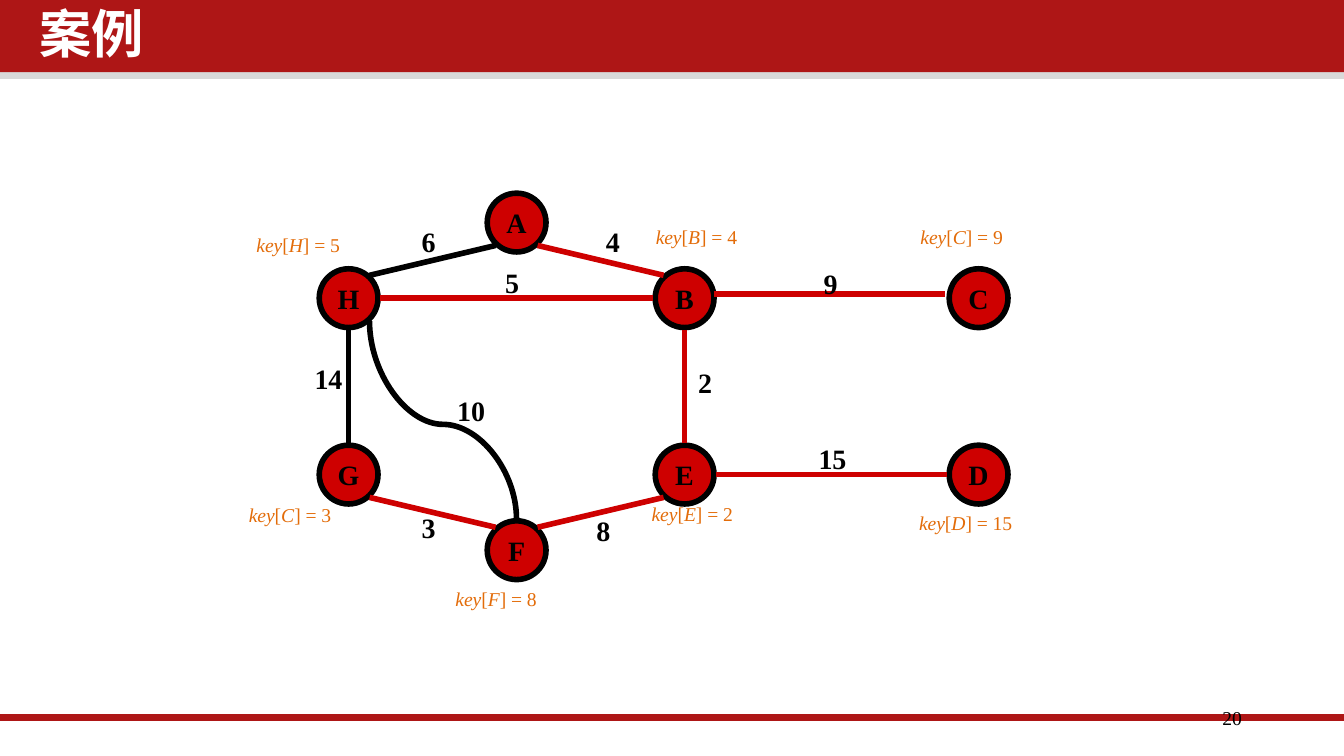
from math import copysign

from lxml.etree import SubElement
from pptx import Presentation
from pptx.dml.color import RGBColor
from pptx.enum.shapes import MSO_CONNECTOR, MSO_SHAPE
from pptx.enum.text import MSO_ANCHOR, MSO_AUTO_SIZE, PP_ALIGN
from pptx.oxml.ns import qn
from pptx.util import Pt

BANNER_RED = RGBColor(0xAE, 0x16, 0x16)
TREE_RED = RGBColor(0xCE, 0x00, 0x00)
KEY_ORANGE = RGBColor(0xE3, 0x6C, 0x09)
GREY = RGBColor(0xD9, 0xD9, 0xD9)
BLACK = RGBColor(0, 0, 0)
WHITE = RGBColor(0xFF, 0xFF, 0xFF)

NODE_SIZE = 31.5
REACH = 17
CORNER = (11.25, 12.25)

NODES = {
    "H": (186.75, 159.75), "B": (366.75, 159.75), "C": (524.25, 159.75),
    "G": (186.75, 254.25), "E": (366.75, 254.25), "D": (524.25, 254.25),
    "F": (276.75, 294.75), "A": (276.75, 119.25),
}
EDGES = [
    ("A", "B", TREE_RED), ("A", "H", BLACK), ("H", "B", TREE_RED),
    ("G", "H", BLACK), ("G", "F", TREE_RED), ("F", "E", TREE_RED),
    ("E", "B", TREE_RED), ("E", "D", TREE_RED),
]
WEIGHTS = [
    ("14", 176, 202.5), ("10", 252.4, 219.7), ("3", 229.7, 282.7),
    ("6", 229.7, 129.3), ("4", 328.3, 129.3), ("5", 274.3, 151.3),
    ("2", 377.8, 204.9), ("9", 445, 152), ("15", 446, 245.7), ("8", 323.3, 284.1),
]
KEYS = [
    ("H", "5", 130.3, 121.3), ("B", "4", 344.2, 116.9), ("E", "2", 342, 265.4),
    ("C", "9", 486, 116.9), ("D", "15", 485.3, 270.4), ("F", "8", 236.9, 311),
    ("C", "3", 126.2, 265.7),
]


class GraphSlide:
    latin = "Times New Roman"
    heading = "Noto Sans CJK SC"
    line_width = 3

    def __init__(self, deck):
        self.slide = deck.slides.add_slide(deck.slide_layouts[5])
        self.shapes = self.slide.shapes

    def style(self, paragraph, size, color, bold=False, align=PP_ALIGN.LEFT, name=None):
        paragraph.alignment = align
        font = paragraph.font
        font.name = name or self.latin
        font.size = Pt(size)
        font.bold = bold
        font.color.rgb = color

    def title(self, wording, left, top, width, height):
        title = self.shapes.title
        title.left, title.top = Pt(left), Pt(top)
        title.width, title.height = Pt(width), Pt(height)
        frame = title.text_frame
        frame.text = wording
        frame.margin_left = frame.margin_right = Pt(5)
        frame.margin_top = frame.margin_bottom = Pt(2.7)
        frame.auto_size = MSO_AUTO_SIZE.NONE
        paragraph = frame.paragraphs[0]
        self.style(paragraph, 28, WHITE, bold=True, name=self.heading)
        paragraph.line_spacing = 0.9
        paragraph.space_before = Pt(0)
        properties = paragraph._p.pPr.find(qn("a:defRPr"))
        SubElement(properties, qn("a:ea"), typeface=self.heading)
        self.shapes._spTree.append(title._element)

    def bar(self, top, height, color):
        bar = self.shapes.add_shape(MSO_SHAPE.RECTANGLE, 0, Pt(top), Pt(720), Pt(height))
        bar.shadow.inherit = False
        bar.fill.solid()
        bar.fill.fore_color.rgb = color
        bar.line.fill.background()

    def node(self, name, x, y):
        node = self.shapes.add_shape(
            MSO_SHAPE.OVAL, Pt(x - NODE_SIZE / 2), Pt(y - NODE_SIZE / 2),
            Pt(NODE_SIZE), Pt(NODE_SIZE))
        node.shadow.inherit = False
        node.fill.solid()
        node.fill.fore_color.rgb = TREE_RED
        node.line.color.rgb = BLACK
        node.line.width = Pt(self.line_width)
        frame = node.text_frame
        frame.text = name
        frame.word_wrap = False
        frame.vertical_anchor = MSO_ANCHOR.MIDDLE
        self.style(frame.paragraphs[0], 15, BLACK, True, PP_ALIGN.CENTER)

    def line(self, start, end, color, width=None, kind=MSO_CONNECTOR.STRAIGHT):
        line = self.shapes.add_connector(kind, *map(Pt, (*start, *end)))
        line.line.color.rgb = color
        line.line.width = Pt(width or self.line_width)
        SubElement(line._element.spPr, qn("a:effectLst"))
        return line

    def edge(self, first, second, color):
        (x1, y1), (x2, y2) = NODES[first], NODES[second]
        across, down = x2 - x1, y2 - y1
        reach_x, reach_y = CORNER if across and down else (REACH, REACH)
        dx = copysign(reach_x, across) if across else 0
        dy = copysign(reach_y, down) if down else 0
        self.line((x1 + dx, y1 + dy), (x2 - dx, y2 - dy), color)

    def upright_curve(self, start, end, color, bend):
        (x1, y1), (x2, y2) = start, end
        x, y = (x1 + x2) / 2, (y1 + y2) / 2
        half_length, half_breadth = abs(y2 - y1) / 2, abs(x2 - x1) / 2
        curve = self.line((x + half_length, y - half_breadth),
                          (x - half_length, y + half_breadth),
                          color, kind=MSO_CONNECTOR.CURVE)
        properties = curve._element.spPr
        properties.find(qn("a:xfrm")).set("rot", "5400000")
        adjustments = properties.find(qn("a:prstGeom")).find(qn("a:avLst"))
        SubElement(adjustments, qn("a:gd"), name="adj1", fmla=f"val {bend}")

    def text_box(self, left, top, width, height):
        frame = self.shapes.add_textbox(Pt(left), Pt(top), Pt(width), Pt(height)).text_frame
        frame.word_wrap = False
        frame.auto_size = MSO_AUTO_SIZE.SHAPE_TO_FIT_TEXT
        return frame

    def weight(self, value, x, y):
        width = 14 + 8.5 * len(value)
        frame = self.text_box(x - width / 2, y - 12.6, width, 25.2)
        frame.text = value
        self.style(frame.paragraphs[0], 15, BLACK, True, PP_ALIGN.CENTER)

    def key(self, name, value, left, top):
        frame = self.text_box(left, top, 55 + 5.3 * len(value), 20)
        paragraph = frame.paragraphs[0]
        self.style(paragraph, 10.5, KEY_ORANGE)
        for wording, italic in (("key", True), ("[", False), (name, True), (f"] = {value}", False)):
            run = paragraph.add_run()
            run.text = wording
            run.font.italic = italic

    def page_number(self, number):
        frame = self.text_box(508.3, 375.3, 162, 21.6)
        frame.word_wrap = True
        frame.auto_size = MSO_AUTO_SIZE.NONE
        frame.margin_left = frame.margin_right = Pt(5)
        frame.margin_top = frame.margin_bottom = Pt(2.7)
        frame.text = number
        self.style(frame.paragraphs[0], 10.5, BLACK, align=PP_ALIGN.RIGHT)


def main():
    deck = Presentation()
    deck.slide_width, deck.slide_height = Pt(720), Pt(405)
    graph = GraphSlide(deck)
    graph.bar(36, 6.3, GREY)
    graph.bar(0, 38.7, BANNER_RED)
    graph.line((-1.5, 384.5), (720, 384.5), BANNER_RED, width=4)
    graph.page_number("20")
    for name, (x, y) in NODES.items():
        graph.node(name, x, y)
    for edge in EDGES:
        graph.edge(*edge)
    graph.line((382.3, 157.5), (506.2, 157.5), TREE_RED)
    graph.upright_curve((276.75, 278), (198, 172), BLACK, 47800)
    for weight in WEIGHTS:
        graph.weight(*weight)
    for key in KEYS:
        graph.key(*key)
    graph.title("案例", 16, -1.9, 550, 42.5)
    deck.save("out.pptx")


if __name__ == "__main__":
    main()
